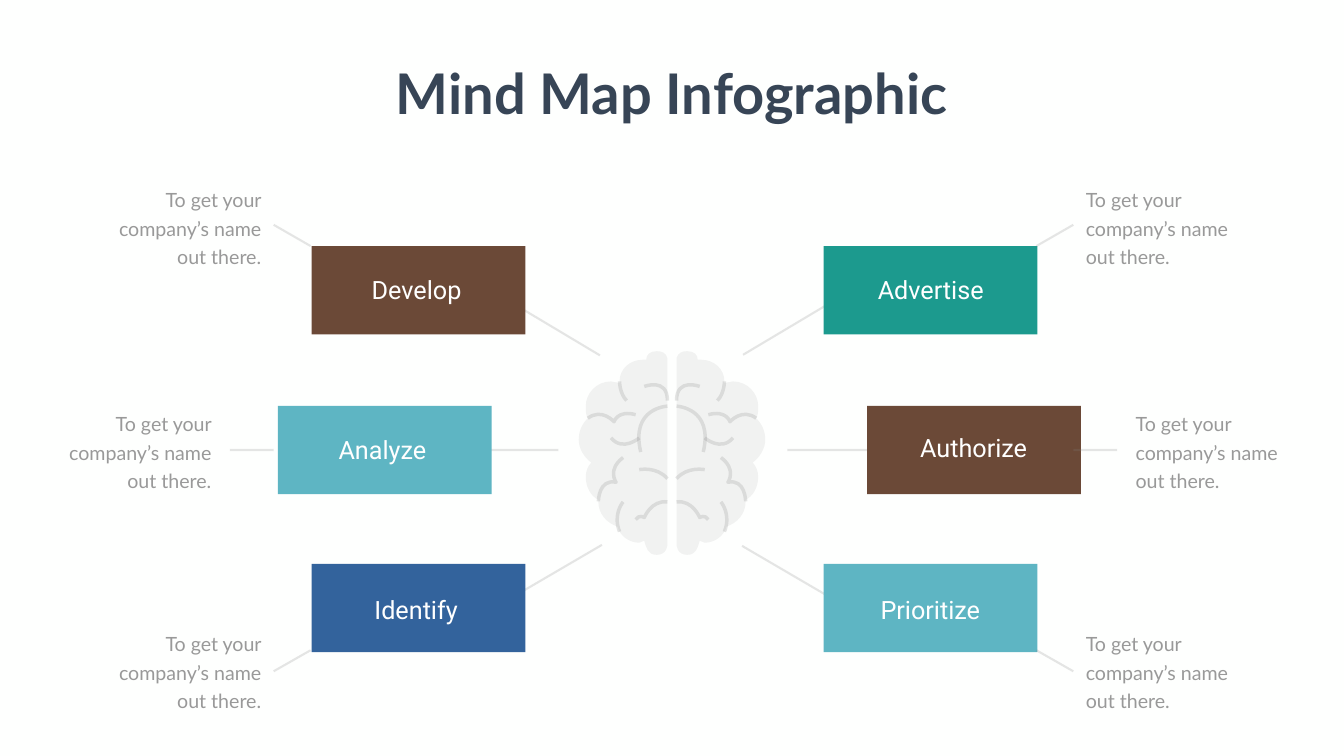
from pptx import Presentation
from pptx.dml.color import RGBColor
from pptx.enum.shapes import MSO_CONNECTOR, MSO_SHAPE
from pptx.enum.text import MSO_ANCHOR, MSO_AUTO_SIZE, PP_ALIGN
from pptx.oxml.ns import qn
from pptx.oxml.xmlchemy import OxmlElement
from pptx.util import Cm, Pt

COLORS = {
    "background": "FEFFFE", "title": "374556", "label": "FFFFFF",
    "note": "999999", "gray": "808080", "brown": "6B4937",
    "aqua": "5EB5C3", "teal": "1C9A8E", "blue": "33639C",
}
WIDTH, HEIGHT = 67.72, 38.1
NOTE_MIRROR = 67.87  # sum of a note's x and its mirrored x
NOTE_WIDTH = 8.56
NOTE = "To get your company’s name out there."

# name, colour, box left and top, label left, top and width
TOPICS = [
    ("Authorize", "brown", 43.69, 20.45, 44.73, 21.64, 8.66),
    ("Prioritize", "aqua", 41.5, 28.42, 42.55, 29.82, 8.66),
    ("Advertise", "teal", 41.5, 12.4, 42.57, 13.69, 8.66),
    ("Analyze", "aqua", 14, 20.45, 15.88, 21.77, 6.78),
    ("Identify", "blue", 15.7, 28.42, 17.58, 29.82, 6.78),
    ("Develop", "brown", 15.7, 12.4, 17.6, 13.69, 6.78),
]
# Lines from the brain to the topics as x1, y1, x2, y2
SPOKES = [
    (39.67, 22.68, 47.47, 22.68),
    (28.14, 22.68, 20.32, 22.68),
    (37.44, 17.88, 42.98, 14.58),
    (30.23, 17.91, 24.69, 14.6),
    (37.39, 27.51, 42.95, 30.76),
    (30.33, 27.46, 24.77, 30.71),
]
# Right-hand note left and top, with its pointer line; the left side mirrors it
NOTES = [
    (54.46, 9.09, (52.22, 12.4, 54.08, 11.33)),
    (54.46, 31.48, (52.22, 32.77, 54.08, 33.83)),
    (56.97, 20.4, (54.08, 22.68, 56.29, 22.68)),
]

# Half a brain in hundredths of an inch: distance from the midline, depth.
# A start point is followed by three points for each Bézier segment.
BRAIN_TOP = 17.7
HEMISPHERE = [
    (9, 21), (9, 17), (9, 14), (9, 14), (12, 3), (20, 0), (30, 0),
    (44, 0), (51, 7), (51, 17), (55, 17), (58, 17), (58, 17),
    (83, 17), (104, 35), (104, 60), (104, 63), (104, 63), (104, 63),
    (111, 63), (115, 60), (121, 60), (150, 60), (171, 84), (171, 109),
    (171, 119), (171, 126), (167, 133), (178, 144), (185, 158), (185, 176),
    (185, 193), (174, 211), (160, 221), (167, 228), (171, 239), (171, 249),
    (171, 271), (160, 288), (146, 295), (146, 295), (146, 299), (146, 299),
    (146, 323), (129, 341), (108, 348), (104, 365), (86, 380), (65, 380),
    (62, 380), (58, 376), (55, 376), (51, 390), (48, 404), (30, 404),
    (9, 404), (9, 383), (9, 383),
]
FOLDS = [
    [(9, 109), (9, 109), (83, 112), (62, 200)],
    [(55, 70), (55, 70), (9, 52), (9, 98)],
    [(104, 60), (104, 60), (104, 84), (90, 98)],
    [(167, 133), (139, 112), (115, 140), (115, 140),
     (115, 140), (108, 116), (72, 126)],
    [(146, 298), (146, 298), (146, 253), (111, 260),
     (111, 260), (129, 235), (97, 211)],
    [(97, 299), (97, 299), (118, 323), (104, 358)],
    [(9, 299), (41, 295), (55, 330), (55, 330),
     (55, 330), (65, 323), (72, 334)],
    [(65, 172), (65, 172), (97, 200), (121, 172)],
    [(65, 235), (65, 235), (30, 228), (9, 253)],
]


def color(name):
    return RGBColor.from_string(COLORS[name])


def bend_segments(shape):
    """Turn every three line segments into one cubic Bézier segment."""
    lines = list(shape._element.spPr.iter(qn("a:lnTo")))
    for i in range(0, len(lines), 3):
        bezier = OxmlElement("a:cubicBezTo")
        lines[i].addprevious(bezier)
        for line in lines[i:i + 3]:
            bezier.append(line[0])
            line.getparent().remove(line)


def set_opacity(shape, percent):
    for srgb in shape._element.spPr.iter(qn("a:srgbClr")):
        alpha = OxmlElement("a:alpha")
        alpha.set("val", str(percent * 1000))
        srgb.append(alpha)


class MindMap:
    def __init__(self, slide):
        self.slide = slide
        self.shapes = slide.shapes
        slide.background.fill.solid()
        slide.background.fill.fore_color.rgb = color("background")

    def format_text(self, frame, text, size, font, ink, align, bold=False):
        frame.text = text
        paragraph = frame.paragraphs[0]
        paragraph.alignment = align
        style = paragraph.runs[0].font
        style.size, style.name, style.bold = Pt(size), font, bold
        style.color.rgb = color(ink)
        return paragraph

    def title(self, text):
        title = self.shapes.title
        title.left, title.top = Cm(19.53), Cm(2.82)
        title.width, title.height = Cm(28.65), Cm(3.68)
        frame = title.text_frame
        frame.word_wrap = False
        frame.auto_size = MSO_AUTO_SIZE.NONE
        frame.vertical_anchor = MSO_ANCHOR.MIDDLE
        paragraph = self.format_text(frame, text, 80, "Lato", "title",
                                     PP_ALIGN.CENTER, bold=True)
        paragraph.line_spacing = 1.0
        paragraph.space_before = Pt(0)

    def line(self, x1, y1, x2, y2):
        line = self.shapes.add_connector(
            MSO_CONNECTOR.STRAIGHT, Cm(x1), Cm(y1), Cm(x2), Cm(y2))
        line.line.color.rgb = color("gray")
        line.line.width = Pt(3)
        set_opacity(line, 20)
        line._element.spPr.append(OxmlElement("a:effectLst"))

    def box(self, left, top, fill):
        box = self.shapes.add_shape(
            MSO_SHAPE.RECTANGLE, Cm(left), Cm(top), Cm(10.77), Cm(4.45))
        box.shadow.inherit = False
        box.fill.solid()
        box.fill.fore_color.rgb = color(fill)
        box.line.fill.background()

    def label(self, text, left, top, width):
        label = self.shapes.add_textbox(Cm(left), Cm(top), Cm(width), Cm(1.8))
        frame = label.text_frame
        frame.word_wrap = True
        frame.vertical_anchor = MSO_ANCHOR.MIDDLE
        self.format_text(frame, text, 36, "Roboto", "label", PP_ALIGN.CENTER)

    def note(self, left, top, align):
        note = self.shapes.add_textbox(
            Cm(left), Cm(top), Cm(NOTE_WIDTH), Cm(4.5))
        note.text_frame.word_wrap = True
        paragraph = self.format_text(note.text_frame, NOTE, 28, "Lato",
                                     "note", align)
        paragraph.line_spacing = Pt(40.8)

    def curve(self, points, side, filled=False):
        path_points = [(Cm(WIDTH / 2 + side * x * 2.54 / 100),
                        Cm(BRAIN_TOP + y * 2.54 / 100)) for x, y in points]
        builder = self.shapes.build_freeform(*path_points[0])
        builder.add_line_segments(path_points[1:], close=filled)
        curve = builder.convert_to_shape()
        bend_segments(curve)
        curve.shadow.inherit = False
        if filled:
            curve.fill.solid()
            curve.fill.fore_color.rgb = color("gray")
            curve.line.fill.background()
        else:
            curve.fill.background()
            curve.line.color.rgb = color("gray")
            curve.line.width = Pt(5)
        set_opacity(curve, 10 if filled else 20)


def main():
    presentation = Presentation()
    presentation.slide_width, presentation.slide_height = Cm(WIDTH), Cm(HEIGHT)
    mind_map = MindMap(presentation.slides.add_slide(presentation.slide_layouts[5]))
    mind_map.title("Mind Map Infographic")

    # Spokes between the brain and the topics
    for spoke in SPOKES:
        mind_map.line(*spoke)

    # Topics
    for name, fill, left, top, label_left, label_top, label_width in TOPICS:
        mind_map.box(left, top, fill)
        mind_map.label(name, label_left, label_top, label_width)

    # Notes with their pointers
    for left, top, (x1, y1, x2, y2) in NOTES:
        mind_map.line(x1, y1, x2, y2)
        mind_map.note(left, top, PP_ALIGN.LEFT)
        mind_map.line(NOTE_MIRROR - x1, y1, NOTE_MIRROR - x2, y2)
        mind_map.note(NOTE_MIRROR - left - NOTE_WIDTH, top, PP_ALIGN.RIGHT)

    # Brain
    for side in (-1, 1):
        mind_map.curve(HEMISPHERE, side, filled=True)
        for fold in FOLDS:
            mind_map.curve(fold, side)

    presentation.save("out.pptx")


if __name__ == "__main__":
    main()
